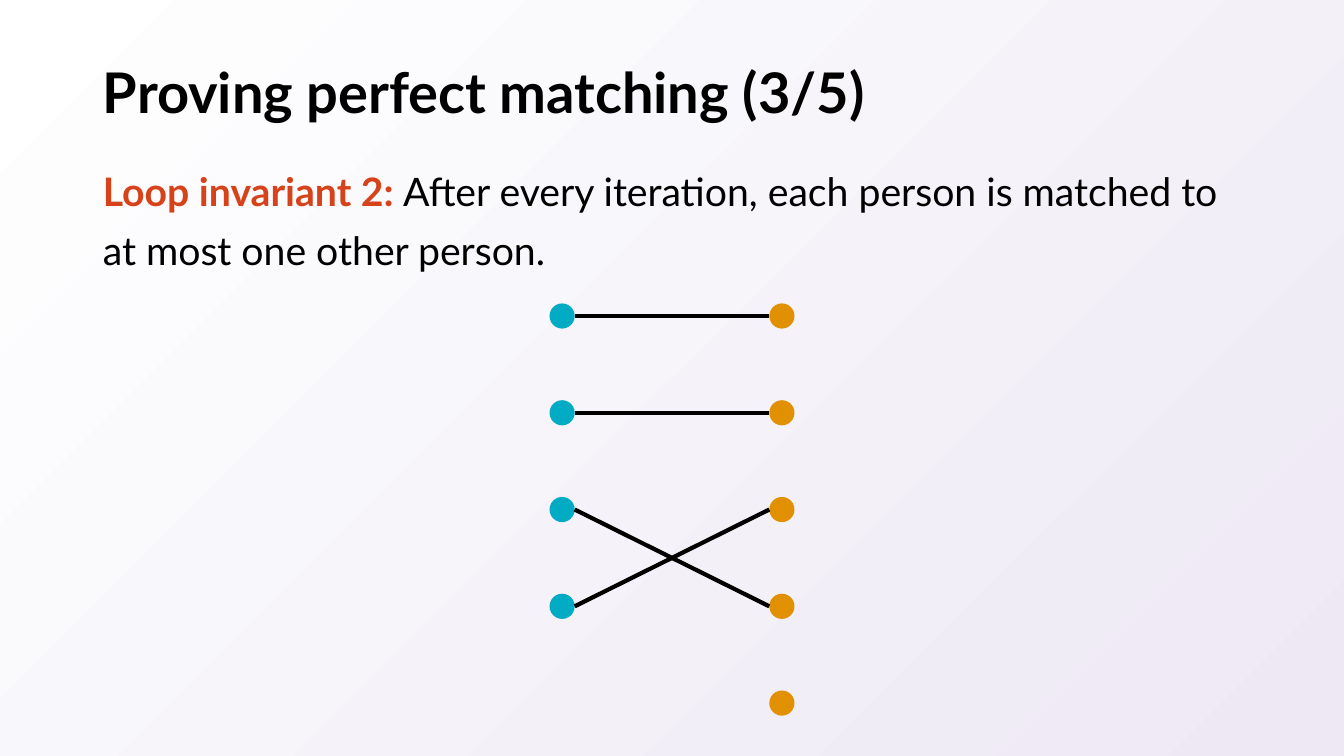
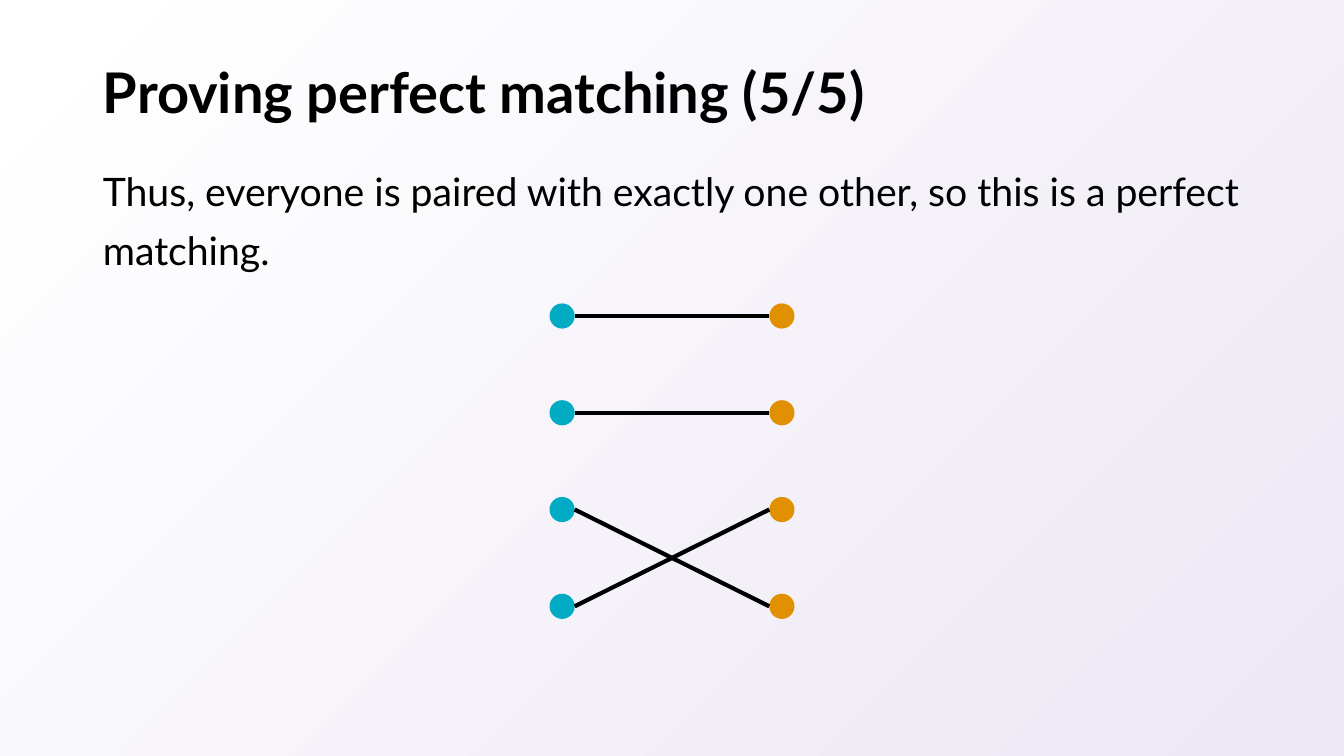
"""Builds two slides that illustrate the proof of a perfect matching."""
from dataclasses import dataclass

from lxml.etree import SubElement
from pptx import Presentation
from pptx.dml.color import RGBColor
from pptx.enum.shapes import MSO_CONNECTOR, MSO_SHAPE
from pptx.enum.text import MSO_ANCHOR, MSO_AUTO_SIZE, PP_ALIGN
from pptx.oxml.ns import qn
from pptx.util import Inches, Pt


@dataclass(frozen=True)
class Theme:
    font: str = "Lato"
    title_size: int = 40
    body_size: int = 28
    line_width: int = 3
    text: RGBColor = RGBColor(0x00, 0x00, 0x00)
    accent: RGBColor = RGBColor(0xD6, 0x43, 0x1A)
    left_dot: RGBColor = RGBColor(0x00, 0xAB, 0xC3)
    right_dot: RGBColor = RGBColor(0xE0, 0x90, 0x00)
    back_start: RGBColor = RGBColor(0xFF, 0xFF, 0xFF)
    back_end: RGBColor = RGBColor(0xED, 0xE8, 0xF4)


T = Theme()


def write(p, text, size=T.body_size, color=T.text, bold=False):
    r = p.add_run()
    r.text = text
    r.font.name = T.font
    r.font.size = Pt(size)
    r.font.bold = bold
    r.font.color.rgb = color


prs = Presentation()
prs.slide_width, prs.slide_height = Inches(13.33), Inches(7.5)

fill = prs.slide_master.background.fill
fill.gradient()
fill.gradient_angle = 315
for stop, color in zip(fill.gradient_stops, (T.back_start, T.back_end)):
    stop.color.rgb = color

layout = prs.slide_layouts[1]
for ph, top, height in zip(layout.placeholders, (0.4, 1.49), (1.09, 5.26)):
    ph.left, ph.top = Inches(0.92), Inches(top)
    ph.width, ph.height = Inches(11.5), Inches(height)

DOT = 0.25
LEFT_X, RIGHT_X = 5.45, 7.63
FIRST_Y, STEP = 3.01, 0.96
PAIRS = [(0, 0), (1, 1), (2, 3), (3, 2)]

slides = [
    ("Proving perfect matching (3/5)", "Loop invariant 2: ",
     "After every iteration, each person is matched to at most one other person.", 5),
    ("Proving perfect matching (5/5)", "",
     "Thus, everyone is paired with exactly one other, so this is a perfect matching.", 4),
]

for title, lead, statement, right_count in slides:
    s = prs.slides.add_slide(layout)

    tf = s.shapes.title.text_frame
    tf.auto_size = MSO_AUTO_SIZE.NONE
    tf.vertical_anchor = MSO_ANCHOR.MIDDLE
    p = tf.paragraphs[0]
    p.alignment = PP_ALIGN.LEFT
    p.line_spacing = 0.9
    write(p, title, size=T.title_size, bold=True)

    tf = s.placeholders[1].text_frame
    tf.auto_size = MSO_AUTO_SIZE.NONE
    p = tf.paragraphs[0]
    p.line_spacing = 1.25
    p.space_before = Pt(24)
    pPr = p._p.get_or_add_pPr()
    pPr.set("marL", "0")
    pPr.set("indent", "0")
    SubElement(pPr, qn("a:buNone"))
    if lead:
        write(p, lead, color=T.accent, bold=True)
    write(p, statement)

    for x, count, color in ((LEFT_X, 4, T.left_dot), (RIGHT_X, right_count, T.right_dot)):
        for i in range(count):
            dot = s.shapes.add_shape(MSO_SHAPE.OVAL, Inches(x), Inches(FIRST_Y + i * STEP),
                                     Inches(DOT), Inches(DOT))
            dot.shadow.inherit = False
            dot.fill.solid()
            dot.fill.fore_color.rgb = color
            dot.line.fill.background()

    for left_row, right_row in PAIRS:
        y1, y2 = (FIRST_Y + DOT / 2 + row * STEP for row in (left_row, right_row))
        edge = s.shapes.add_connector(MSO_CONNECTOR.STRAIGHT, Inches(LEFT_X + DOT), Inches(y1),
                                      Inches(RIGHT_X), Inches(y2))
        edge.line.color.rgb = T.text
        edge.line.width = Pt(T.line_width)
        SubElement(edge._element.spPr, qn("a:effectLst"))

prs.save("out.pptx")
